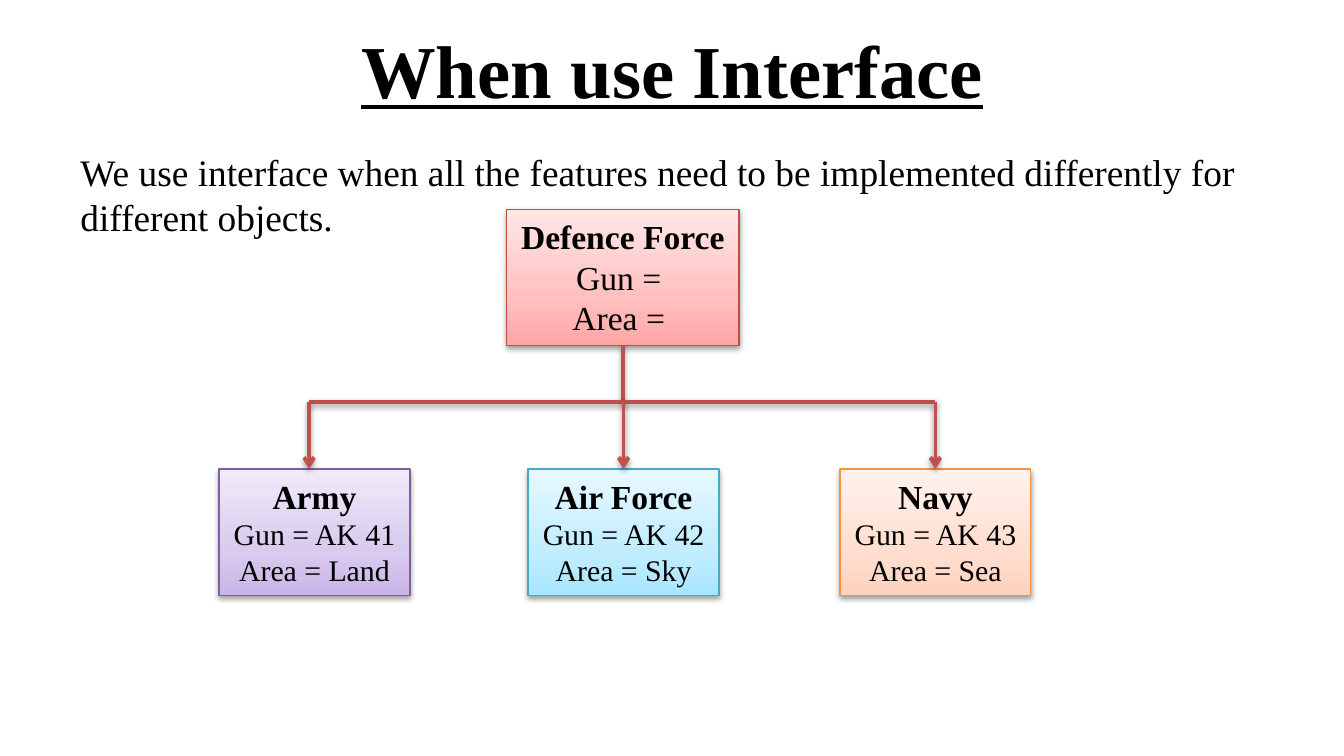
from lxml import etree
from pptx import Presentation
from pptx import util as u
from pptx.dml.color import RGBColor
from pptx.enum import shapes, text
from pptx.oxml import parse_xml
from pptx.oxml.ns import nsdecls, qn

WIDTH = 10
HEIGHT = WIDTH * 9 / 16
MARGIN = 0.5
FONT, INK, RED = "Times New Roman", "000000", "C0504D"
TITLE = "When use Interface"
INTRO = ("We use interface when all the features need to be implemented "
         "differently for different objects.")

BUS_Y = 2.99
BRANCH_TOP = 3.49
BRANCH_SIZE = (1.42, 0.94)

# name, details, detail size, gradient from bottom to top, outline
PARENT = ("Defence Force", ["Gun = ", "Area = "], 18,
          ["FFA6A5", "FFC0BF", "FFE7E7"], "BF4C48")
PARENT_BOUNDS = (3.77, 1.56, 1.73, 1.01)
BRANCHES = [
    ("Army", ["Gun = AK 41", "Area = Land"], 16,
     ["C9B5E8", "D8CBEE", "F0EAF9"], "7D60A0"),
    ("Air Force", ["Gun = AK 42", "Area = Sky"], 16,
     ["A7E6FF", "C1EDFF", "E7F8FF"], "46AAC5"),
    ("Navy", ["Gun = AK 43", "Area = Sea"], 16,
     ["FFD2BD", "FFDED0", "FFF2ED"], "F69240"),
]
BRANCH_LEFTS = [1.63, 3.93, 6.25]
ARROW_XS = [2.3, 4.64, 6.96]


def rgb(code):
    return RGBColor.from_string(code)


def inches(*lengths):
    return [u.Inches(length) for length in lengths]


def add_run(paragraph, words, size, bold=False, underline=False):
    run = paragraph.add_run()
    run.text = words
    font = run.font
    font.name, font.size, font.bold = FONT, u.Pt(size), bold
    font.underline = underline
    font.color.rgb = rgb(INK)


def add_shadow(item):
    """Give a shape or connector a soft shadow falling straight down."""
    item._element.spPr.append(parse_xml(
        f'<a:effectLst {nsdecls("a")}>'
        '<a:outerShdw blurRad="40000" dist="20000" dir="5400000" rotWithShape="0">'
        '<a:srgbClr val="000000"><a:alpha val="38000"/></a:srgbClr>'
        '</a:outerShdw></a:effectLst>'))


def fill_gradient(shape, colours):
    shape.fill.gradient()
    shape.fill.gradient_angle = 90
    stops = shape._element.spPr.find(qn("a:gradFill")).find(qn("a:gsLst"))
    for stop in list(stops):
        stops.remove(stop)
    for share, colour in zip((0, 35, 100), colours):
        stop = etree.SubElement(stops, qn("a:gs"), pos=str(share * 1000))
        etree.SubElement(stop, qn("a:srgbClr"), val=colour)


def add_box(slide, bounds, content):
    name, details, detail_size, colours, outline = content
    box = slide.shapes.add_shape(shapes.MSO_SHAPE.RECTANGLE, *inches(*bounds))
    fill_gradient(box, colours)
    box.line.color.rgb = rgb(outline)
    box.line.width = u.Pt(0.75)
    add_shadow(box)
    frame = box.text_frame
    frame.word_wrap = False
    frame.auto_size = text.MSO_AUTO_SIZE.SHAPE_TO_FIT_TEXT
    frame.vertical_anchor = text.MSO_ANCHOR.TOP
    for row, words in enumerate([name, *details]):
        paragraph = frame.add_paragraph() if row else frame.paragraphs[0]
        paragraph.alignment = text.PP_ALIGN.CENTER
        add_run(paragraph, words, detail_size if row else 18, bold=row == 0)
    return box


def add_link(slide, start, end, arrow=False):
    link = slide.shapes.add_connector(
        shapes.MSO_CONNECTOR.STRAIGHT, *inches(*start, *end))
    link.line.color.rgb = rgb(RED)
    link.line.width = u.Pt(2)
    if arrow:
        outline = link._element.spPr.find(qn("a:ln"))
        etree.SubElement(outline, qn("a:tailEnd"), type="arrow")
    add_shadow(link)
    return link


def main():
    deck = Presentation()
    deck.slide_width, deck.slide_height = inches(WIDTH, HEIGHT)
    slide = deck.slides.add_slide(deck.slide_layouts[5])

    title = slide.shapes.title
    title.left, title.top, title.width, title.height = inches(
        MARGIN, 0.04, WIDTH - 2 * MARGIN, 0.94)
    title.text_frame.vertical_anchor = text.MSO_ANCHOR.MIDDLE
    heading = title.text_frame.paragraphs[0]
    heading.alignment = text.PP_ALIGN.CENTER
    add_run(heading, TITLE, 40, bold=True, underline=True)

    intro = slide.shapes.add_textbox(
        *inches(MARGIN, 1.06, WIDTH - 2 * MARGIN, 3.71)).text_frame
    intro.word_wrap = True
    intro.paragraphs[0].space_before = u.Pt(4)
    add_run(intro.paragraphs[0], INTRO, 20)

    parent = add_box(slide, PARENT_BOUNDS, PARENT)
    left, top, width, height = PARENT_BOUNDS
    stem_x = left + width / 2
    stem = add_link(slide, (stem_x, top + height), (stem_x, BUS_Y))
    stem.begin_connect(parent, 2)
    add_link(slide, (ARROW_XS[0], BUS_Y), (ARROW_XS[-1], BUS_Y))

    for content, left, x in zip(BRANCHES, BRANCH_LEFTS, ARROW_XS):
        branch = add_box(slide, (left, BRANCH_TOP, *BRANCH_SIZE), content)
        arrow = add_link(slide, (x, BUS_Y), (x, BRANCH_TOP), arrow=True)
        if abs(left + BRANCH_SIZE[0] / 2 - x) < 0.01:
            arrow.end_connect(branch, 0)

    deck.save("out.pptx")


if __name__ == "__main__":
    main()
